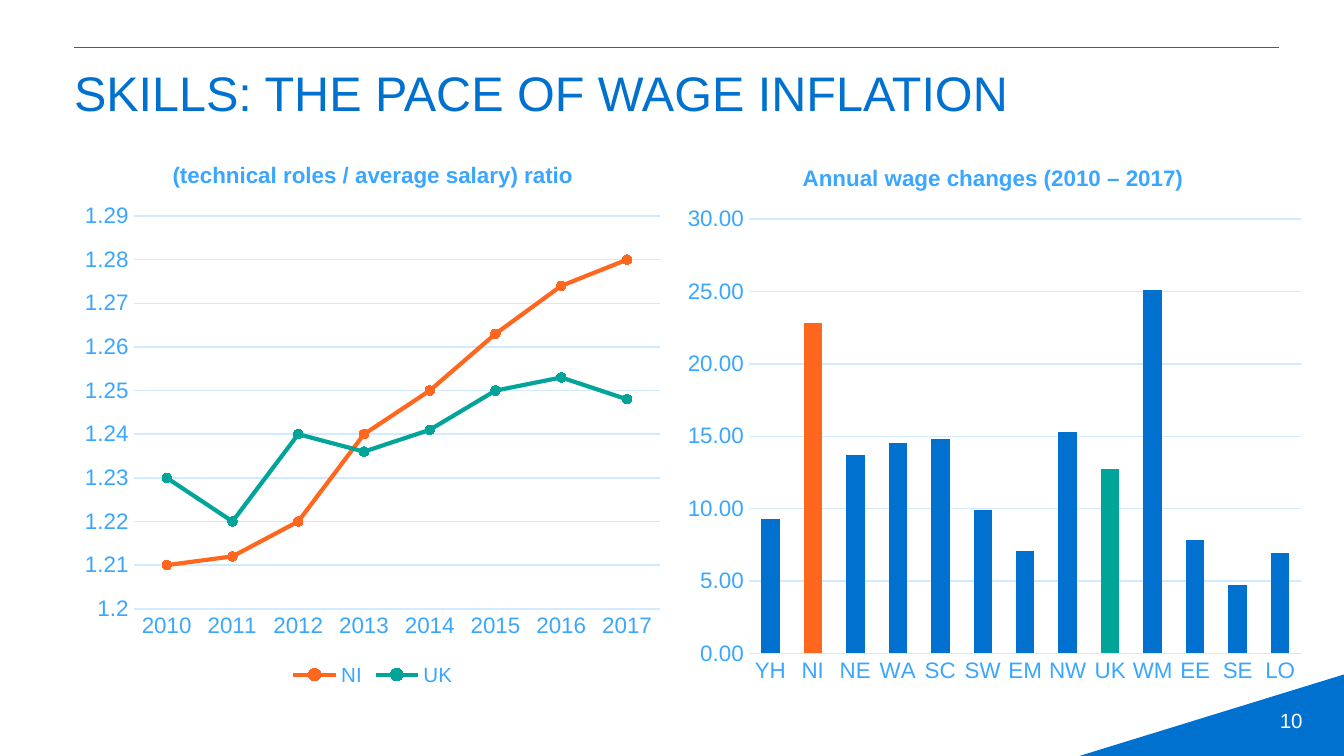
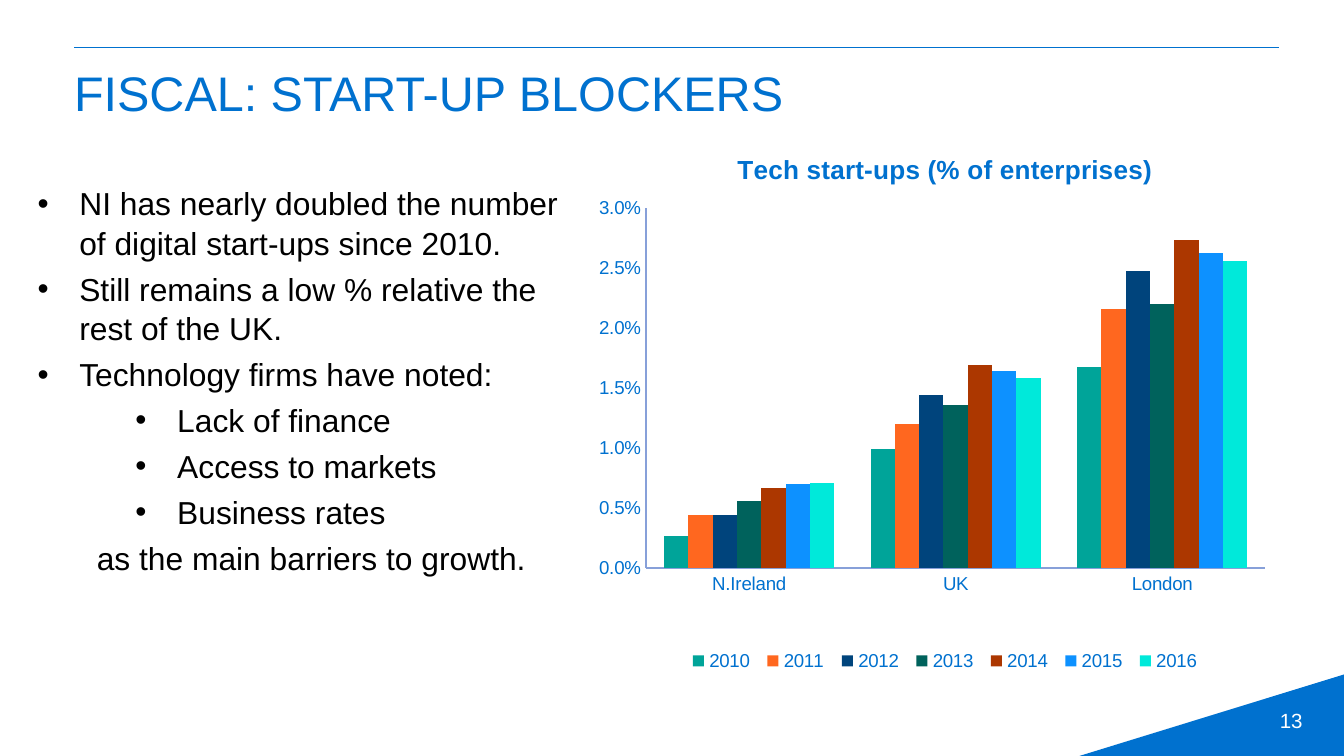
from dataclasses import dataclass, field
from typing import Optional

from lxml.etree import SubElement
from pptx import Presentation
from pptx.chart.data import CategoryChartData
from pptx.dml.color import RGBColor
from pptx.enum.chart import XL_CHART_TYPE, XL_LEGEND_POSITION, XL_MARKER_STYLE, XL_TICK_MARK
from pptx.enum.shapes import MSO_CONNECTOR, MSO_SHAPE
from pptx.enum.text import MSO_ANCHOR, PP_ALIGN
from pptx.oxml import parse_xml
from pptx.oxml.ns import nsdecls, qn
from pptx.util import Cm, Pt

FONT = "Arial"
BLUE, SKY, PALE, AXIS_BLUE = "0071CF", "3AA6FF", "D2EAFF", "87A0D9"
ORANGE, TEAL, WHITE, BLACK = "FF671F", "00A499", "FFFFFF", "000000"

Box = tuple[float, float, float, float]


@dataclass
class Series:
    name: str
    values: list[float]
    color: str
    points: dict[int, str] = field(default_factory=dict)


@dataclass
class ChartSpec:
    kind: XL_CHART_TYPE
    box: Box
    title: str
    categories: list[str]
    series: list[Series]
    plot: Box
    scale: tuple[float, float, float]
    number_format: str
    color: str = SKY
    title_size: int = 12
    axis_size: int = 12
    axis_line: str = PALE
    grid: bool = True
    gap: Optional[int] = None
    overlap: int = 0
    legend_size: Optional[int] = None
    legend_layout: Optional[Box] = None


@dataclass
class Para:
    text: str
    margin: float
    hanging: float = 0.79


def rgb(value: str) -> RGBColor:
    return RGBColor.from_string(value)


def style_font(font, size: float, color: str, bold: bool = False) -> None:
    font.name, font.size, font.bold = FONT, Pt(size), bold
    font.color.rgb = rgb(color)


def paint_line(line, color: str, width: float) -> None:
    line.color.rgb = rgb(color)
    line.width = Pt(width)


def add_text(slide, box: Box, texts: list[str], size: float, color: str):
    sp = slide.shapes.add_textbox(*map(Cm, box))
    tf = sp.text_frame
    tf.word_wrap = True
    for i, text in enumerate(texts):
        p = tf.paragraphs[0] if i == 0 else tf.add_paragraph()
        p.text = text
        style_font(p.runs[0].font, size, color)
    return tf


def clear_insets(tf) -> None:
    tf.margin_left = tf.margin_right = tf.margin_top = tf.margin_bottom = 0


def add_frame(prs, title: str, number: int):
    """Add a slide with the rule, corner triangle, page number and title."""
    slide = prs.slides.add_slide(prs.slide_layouts[6])
    rule = slide.shapes.add_connector(
        MSO_CONNECTOR.STRAIGHT, Cm(1.4), Cm(0.89), Cm(24.18), Cm(0.89))
    paint_line(rule.line, BLUE, 0.25)
    SubElement(rule._element.spPr, qn("a:effectLst"))

    corner = slide.shapes.add_shape(
        MSO_SHAPE.ISOSCELES_TRIANGLE, Cm(20.4), Cm(12.75), Cm(5), Cm(1.54))
    corner.adjustments[0] = 1
    corner.shadow.inherit = False
    corner.fill.solid()
    corner.fill.fore_color.rgb = rgb(BLUE)
    corner.line.fill.background()

    tf = add_text(slide, (18.95, 13.23, 5.92, 0.76), [str(number)], 11, WHITE)
    tf.vertical_anchor = MSO_ANCHOR.MIDDLE
    tf.paragraphs[0].alignment = PP_ALIGN.RIGHT

    tf = add_text(slide, (1.4, 1.19, 22.81, 1.47), [title], 26, BLUE)
    clear_insets(tf)
    tf.paragraphs[0].space_before = Pt(3.4)
    return slide


def add_body(slide, box: Box, paras: list[Para]) -> None:
    tf = add_text(slide, box, [para.text for para in paras], 17, BLACK)
    clear_insets(tf)
    for p, para in zip(tf.paragraphs, paras):
        p.space_before = Pt(3.4)
        p.line_spacing = 1.04
        pPr = p._p.get_or_add_pPr()
        pPr.set("marL", str(Cm(para.margin)))
        pPr.set("indent", str(-Cm(para.hanging)))
        if para.hanging:
            SubElement(pPr, qn("a:buFont"), typeface=FONT)
            SubElement(pPr, qn("a:buChar"), char="•")


def set_layout(parent, index: int, box: Box, inner: bool = False) -> None:
    """Place a plot area or legend by fractions of the chart's size."""
    for old in parent.findall(qn("c:layout")):
        parent.remove(old)
    target = '<c:layoutTarget val="inner"/>' if inner else ""
    modes = "".join(f'<c:{k}Mode val="edge"/>' for k in "xy")
    sizes = "".join(f'<c:{k} val="{v}"/>' for k, v in zip("xywh", box))
    parent.insert(index, parse_xml(
        f'<c:layout {nsdecls("c")}><c:manualLayout>{target}{modes}{sizes}'
        "</c:manualLayout></c:layout>"))


def style_axes(chart, spec: ChartSpec) -> None:
    cat, val = chart.category_axis, chart.value_axis
    for axis in (cat, val):
        axis.major_tick_mark = axis.minor_tick_mark = XL_TICK_MARK.NONE
        style_font(axis.tick_labels.font, spec.axis_size, spec.color)
        paint_line(axis.format.line, spec.axis_line, 0.75)
    cat.has_major_gridlines = False
    val.has_major_gridlines = spec.grid
    if spec.grid:
        paint_line(val.major_gridlines.format.line, PALE, 0.75)
        val.format.line.fill.background()
    val.minimum_scale, val.maximum_scale, val.major_unit = spec.scale
    val.tick_labels.number_format = spec.number_format
    val.tick_labels.number_format_is_linked = False


def style_series(chart, spec: ChartSpec) -> None:
    plot = chart.plots[0]
    plot.vary_by_categories = False
    is_line = spec.kind == XL_CHART_TYPE.LINE_MARKERS
    if not is_line:
        plot.gap_width, plot.overlap = spec.gap, spec.overlap
    for ser, source in zip(plot.series, spec.series):
        if is_line:
            ser.smooth = False
            paint_line(ser.format.line, source.color, 2.25)
            ser.marker.style, ser.marker.size = XL_MARKER_STYLE.CIRCLE, 5
            paint_line(ser.marker.format.line, source.color, 0.75)
            fills = [(ser.marker.format.fill, source.color)]
        else:
            fills = [(ser.format.fill, source.color)]
        fills += [(ser.points[i].format.fill, c) for i, c in source.points.items()]
        for fill, color in fills:
            fill.solid()
            fill.fore_color.rgb = rgb(color)


def add_chart(slide, spec: ChartSpec) -> None:
    data = CategoryChartData(number_format=spec.number_format)
    data.categories = spec.categories
    for s in spec.series:
        data.add_series(s.name, s.values)
    chart = slide.shapes.add_chart(spec.kind, *map(Cm, spec.box), data).chart
    style_font(chart.font, 10, BLUE)
    chart.has_title = True
    chart.chart_title.include_in_layout = False
    p = chart.chart_title.text_frame.paragraphs[0]
    p.text = spec.title
    style_font(p.runs[0].font, spec.title_size, spec.color, bold=True)
    style_axes(chart, spec)
    style_series(chart, spec)
    set_layout(chart._chartSpace.chart.plotArea, 0, spec.plot, inner=True)
    chart.has_legend = spec.legend_size is not None
    if chart.has_legend:
        legend = chart.legend
        legend.position = XL_LEGEND_POSITION.BOTTOM
        legend.include_in_layout = False
        style_font(legend.font, spec.legend_size, spec.color)
        if spec.legend_layout:
            set_layout(legend._element, 1, spec.legend_layout)


SALARY_RATIO = ChartSpec(
    XL_CHART_TYPE.LINE_MARKERS, (1.4, 2.62, 11.3, 10.46),
    "(technical roles / average salary) ratio",
    [str(year) for year in range(2010, 2018)],
    [Series("NI", [1.21, 1.212, 1.22, 1.24, 1.25, 1.263, 1.274, 1.28], ORANGE),
     Series("UK", [1.23, 1.22, 1.24, 1.236, 1.241, 1.25, 1.253, 1.248], TEAL)],
    plot=(0.1, 0.14, 0.88, 0.71), scale=(1.2, 1.29, 0.01),
    number_format="General", legend_size=11)

WAGE_CHANGES = ChartSpec(
    XL_CHART_TYPE.COLUMN_CLUSTERED, (12.7, 2.69, 12.14, 10.39),
    "Annual wage changes (2010 – 2017)",
    "YH NI NE WA SC SW EM NW UK WM EE SE LO".split(),
    [Series("Series 1",
            [9.3, 22.8, 13.7, 14.5, 14.8, 9.9, 7.1, 15.3, 12.7, 25.1, 7.8, 4.7, 6.9],
            BLUE, {1: ORANGE, 8: TEAL})],
    plot=(0.12, 0.14, 0.86, 0.79), scale=(0, 30, 5),
    number_format="0.00", gap=130, overlap=1)

START_UPS = ChartSpec(
    XL_CHART_TYPE.COLUMN_CLUSTERED, (11.13, 2.44, 13.46, 10.64),
    "Tech start-ups (% of enterprises)",
    ["N.Ireland", "UK", "London"],
    [Series("2010", [0.0027, 0.0099, 0.0167], TEAL),
     Series("2011", [0.0044, 0.012, 0.0216], ORANGE),
     Series("2012", [0.0044, 0.0144, 0.0247], "00447C"),
     Series("2013", [0.0056, 0.0136, 0.022], "00625C"),
     Series("2014", [0.0067, 0.0169, 0.0273], "AC3700"),
     Series("2015", [0.007, 0.0164, 0.0262], "0D91FF"),
     Series("2016", [0.0071, 0.0158, 0.0256], "00E9DA")],
    plot=(0.08, 0.14, 0.87, 0.64), scale=(0, 0.03, 0.005),
    number_format="0.0%", color=BLUE, title_size=14, axis_size=10,
    axis_line=AXIS_BLUE, grid=False, gap=150, legend_size=10,
    legend_layout=(0.13, 0.92, 0.74, 0.05))

BLOCKERS = [
    Para("NI has nearly doubled the number of digital start-ups since 2010.", 0.79),
    Para("Still remains a low % relative the rest of the UK.", 0.79),
    Para("Technology firms have noted:", 0.79),
    Para("Lack of finance", 2.64),
    Para("Access to markets", 2.64),
    Para("Business rates", 2.64),
    Para("as the main barriers to growth.", 1.12, hanging=0),
]


def main() -> None:
    prs = Presentation()
    prs.slide_width, prs.slide_height = Cm(25.4), Cm(14.29)

    s = add_frame(prs, "SKILLS: THE PACE OF WAGE INFLATION", 10)
    add_chart(s, SALARY_RATIO)
    add_chart(s, WAGE_CHANGES)

    s = add_frame(prs, "FISCAL: START-UP BLOCKERS", 13)
    add_body(s, (0.71, 3.45, 9.88, 8.74), BLOCKERS)
    add_chart(s, START_UPS)

    prs.save("out.pptx")


if __name__ == "__main__":
    main()
